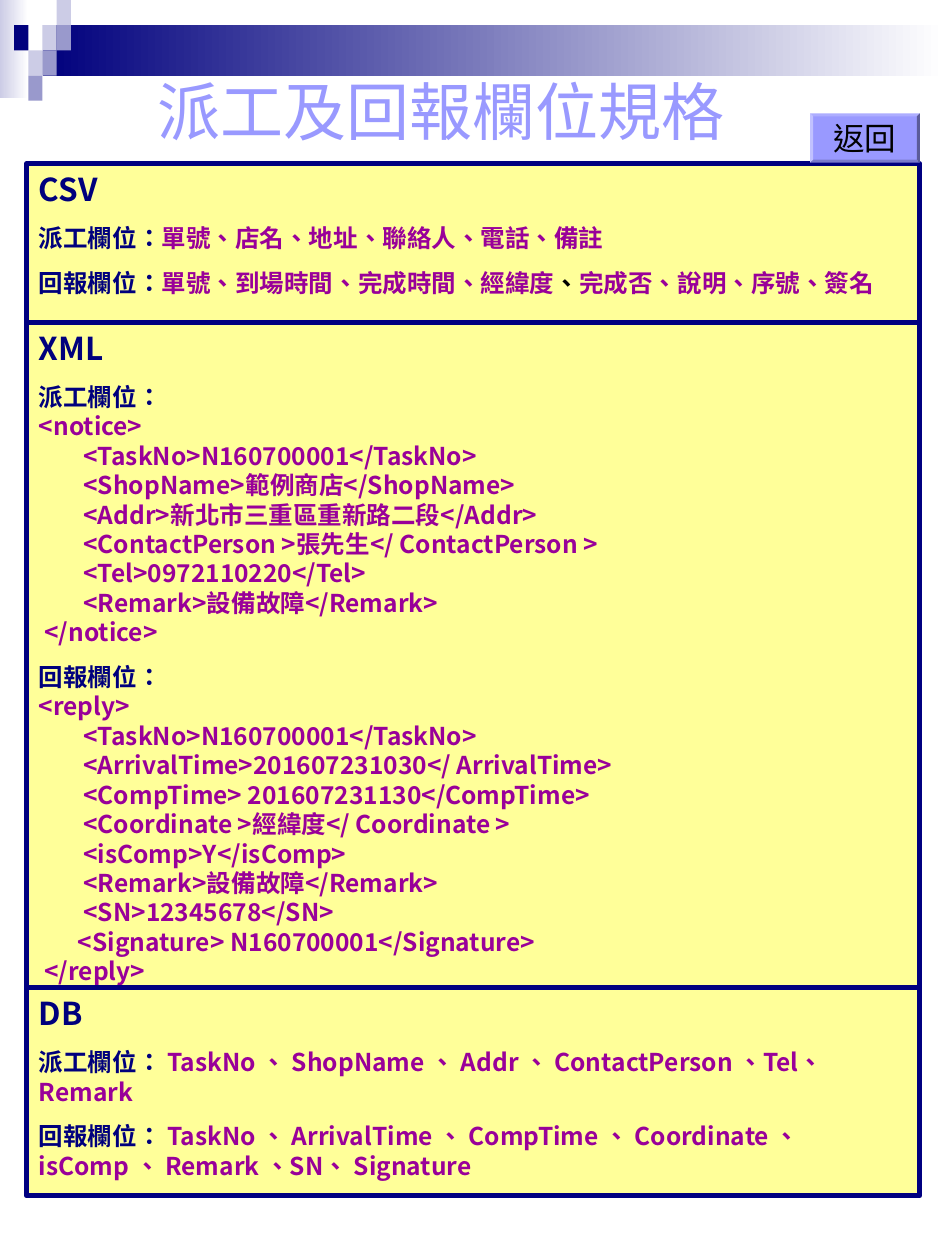
from pptx import Presentation
from pptx.util import Inches, Pt
from pptx.dml.color import RGBColor
from pptx.enum.lang import MSO_LANGUAGE_ID
from pptx.enum.shapes import MSO_SHAPE
from pptx.enum.text import MSO_ANCHOR, PP_ALIGN
from lxml import etree

RECT, BEVEL = MSO_SHAPE.RECTANGLE, MSO_SHAPE.BEVEL
TOP, MIDDLE = MSO_ANCHOR.TOP, MSO_ANCHOR.MIDDLE
LEFT, CENTER = PP_ALIGN.LEFT, PP_ALIGN.CENTER
CHINESE = MSO_LANGUAGE_ID.TRADITIONAL_CHINESE

WHITE = RGBColor(0xFF, 0xFF, 0xFF)
BLACK = RGBColor(0, 0, 0)
NAVY = RGBColor(0, 0, 0x7D)
BORDER = RGBColor(0, 0, 0x80)
PURPLE = RGBColor(0x99, 0, 0x99)
YELLOW = RGBColor(0xFF, 0xFF, 0x99)
PERIWINKLE = RGBColor(0x99, 0x99, 0xFF)
MIST = RGBColor(0xCC, 0xCC, 0xE6)
SLATE = RGBColor(0x99, 0x99, 0xCC)
CJK, ARIAL = "Noto Sans CJK SC", "Arial"

# Content
TITLE = "派工及回報欄位規格"
BACK = "返回"
DISPATCH, REPORT = "派工欄位：", "回報欄位："

NOTICE = """<notice>
        <TaskNo>N160700001</TaskNo>
        <ShopName>範例商店</ShopName>
        <Addr>新北市三重區重新路二段</Addr>
        <ContactPerson >張先生</ ContactPerson >
        <Tel>0972110220</Tel>
        <Remark>設備故障</Remark>
 </notice>"""
REPLY = """<reply>
        <TaskNo>N160700001</TaskNo>
        <ArrivalTime>201607231030</ ArrivalTime>
        <CompTime> 201607231130</CompTime>
        <Coordinate >經緯度</ Coordinate >
        <isComp>Y</isComp>
        <Remark>設備故障</Remark>
        <SN>12345678</SN>
       <Signature> N160700001</Signature>
 </reply>"""


def code_lines(code):
    return [[(line, PURPLE)] for line in code.split("\n")]


# Each panel: heading, top, bottom, paragraphs as (text, colour) runs
PANELS = [
    ("CSV", 1.3, 2.58, [
        [(DISPATCH, NAVY), ("單號、店名、地址、聯絡人、電話、備註", PURPLE)],
        [(REPORT, NAVY), ("單號、到場時間、完成時間、經緯度", PURPLE),
         ("、", BLACK), ("完成否、說明、序號、簽名", PURPLE)],
    ]),
    ("XML", 2.56, 7.84, [
        [(DISPATCH, NAVY)], *code_lines(NOTICE),
        [(REPORT, NAVY)], *code_lines(REPLY),
    ]),
    ("DB", 7.84, 9.49, [
        [(DISPATCH + " ", NAVY),
         ("TaskNo 、 ShopName 、 Addr 、 ContactPerson 、Tel、 Remark", PURPLE)],
        [(REPORT + " ", NAVY),
         ("TaskNo 、 ArrivalTime 、 CompTime 、 Coordinate 、 isComp 、 "
          "Remark 、SN、 Signature", PURPLE)],
    ]),
]
# Mosaic squares: column, row, colour
MOSAIC = [(3, 1, MIST), (4, 0, MIST), (4, 1, SLATE), (2, 2, MIST),
          (1, 1, NAVY), (3, 2, SLATE), (2, 3, SLATE)]

# Layout
prs = Presentation()
prs.slide_width, prs.slide_height = Inches(7.5), Inches(10)
W, H = prs.slide_width, prs.slide_height
COL, ROW = W * 0.015, H * 0.02
PANEL_LEFT, PANEL_WIDTH = Inches(0.21), Inches(7.09)
slide = prs.slides.add_slide(prs.slide_layouts[6])

HEADING = {"size": Pt(18), "name": CJK, "bold": True}
BODY = {"size": Pt(14), "name": CJK, "bold": True}


def add_block(kind, left, top, width, height, colour, fade=False):
    block = slide.shapes.add_shape(
        kind, *(round(v) for v in (left, top, width, height)))
    block.shadow.inherit = False
    block.line.fill.background()
    if fade:
        block.fill.gradient()
        block.fill.gradient_angle = 180
        for stop, shade in zip(block.fill.gradient_stops, (WHITE, colour)):
            stop.color.rgb = shade
    else:
        block.fill.solid()
        block.fill.fore_color.rgb = colour
    return block


def write(paragraph, runs, style, align=LEFT):
    paragraph.alignment = align
    for text, colour in runs:
        run = paragraph.add_run()
        run.text = text
        for key, value in style.items():
            setattr(run.font, key, value)
        run.font.language_id = CHINESE
        run.font.color.rgb = colour
        latin = run.font._element.find("{*}latin")
        east_asian = etree.Element(latin.tag.replace("latin", "ea"),
                                   typeface=CJK)
        latin.addnext(east_asian)


# Header band and mosaic
add_block(RECT, 0, 0, 2 * COL, Inches(0.78), MIST, fade=True)
add_block(RECT, 3 * COL, ROW, W - 3 * COL, 2 * ROW, NAVY, fade=True)
for col, row, colour in MOSAIC:
    add_block(RECT, col * COL, row * ROW, COL, ROW, colour)

# Format panels
for heading, top, bottom, paragraphs in PANELS:
    panel = add_block(RECT, PANEL_LEFT, Inches(top), PANEL_WIDTH,
                      Inches(bottom - top), YELLOW)
    panel.line.color.rgb = BORDER
    panel.line.width = Pt(3)
    frame = panel.text_frame
    frame.word_wrap = True
    frame.vertical_anchor = TOP
    write(frame.paragraphs[0], [(heading, NAVY)], HEADING)
    for runs in paragraphs:
        paragraph = frame.add_paragraph()
        paragraph.space_before = Pt(8.8 if runs[0][1] == NAVY else 0)
        write(paragraph, runs, BODY)

# Title
title = slide.shapes.add_textbox(Inches(1.15), Inches(0.53),
                                 Inches(4.7), Inches(0.7))
title.text_frame.word_wrap = False
write(title.text_frame.paragraphs[0], [(TITLE, PERIWINKLE)],
      {"size": Pt(36), "name": ARIAL})

# Back button
button = add_block(BEVEL, Inches(6.43), Inches(0.9), Inches(0.87),
                   Inches(0.39), PERIWINKLE)
button.adjustments[0] = 0.06
button.text_frame.word_wrap = False
button.text_frame.vertical_anchor = MIDDLE
write(button.text_frame.paragraphs[0], [(BACK, BLACK)],
      {"size": Pt(18), "name": ARIAL}, CENTER)

prs.save("out.pptx")
